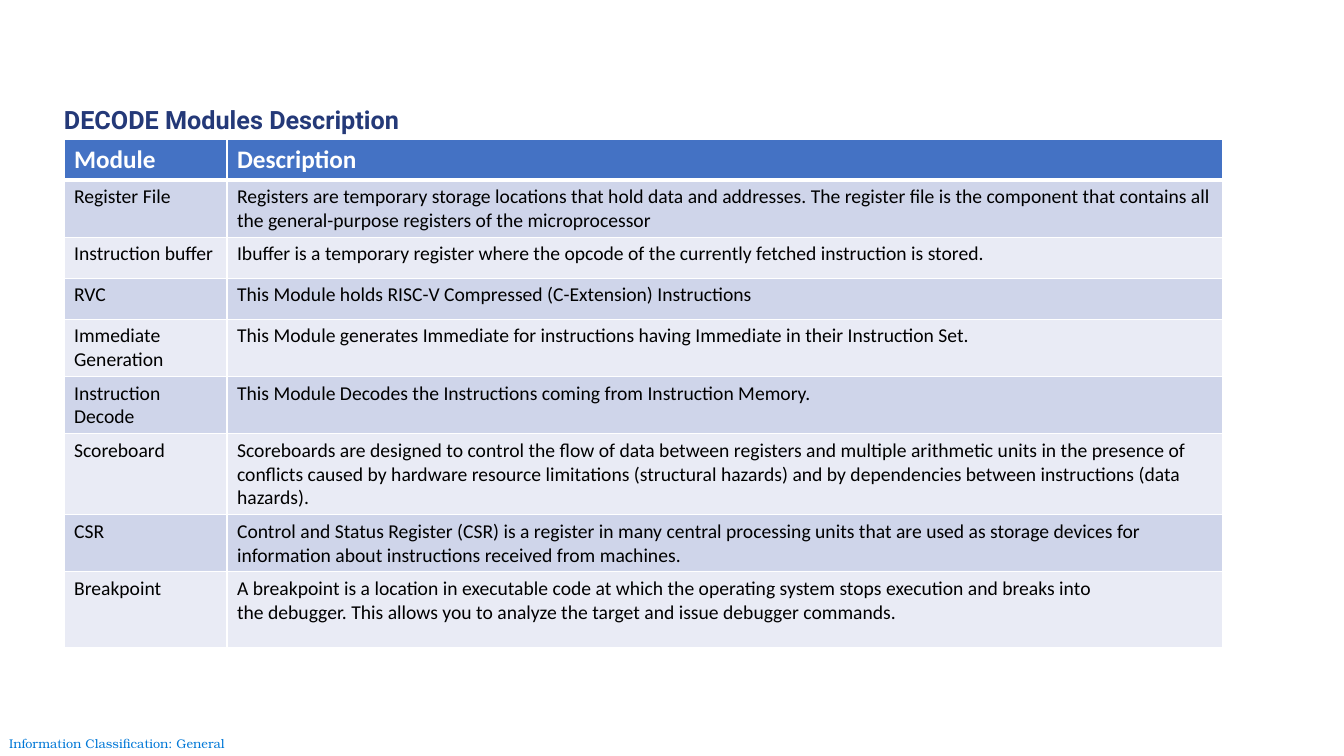
from lxml import etree
from pptx import Presentation
from pptx import util as u
from pptx.dml.color import RGBColor
from pptx.enum import text
from pptx.oxml import ns

WHITE = RGBColor(0xFF, 0xFF, 0xFF)
BLACK = RGBColor(0, 0, 0)
NAVY = RGBColor(0x24, 0x39, 0x78)
LINK_BLUE = RGBColor(0x00, 0x78, 0xD7)
HEADER_BLUE = RGBColor(0x44, 0x72, 0xC4)
BANDS = RGBColor(0xCF, 0xD5, 0xEA), RGBColor(0xE9, 0xEB, 0xF5)

TITLE = dict(name="Roboto", size=u.Pt(18), bold=True, color=NAVY)
FOOTER = dict(name="TeX Gyre Bonum", size=u.Pt(9), bold=False, color=LINK_BLUE)
HEADING = dict(name="Calibri", size=u.Pt(18), bold=True, color=WHITE)
BODY = dict(name="Calibri", size=u.Pt(14), bold=False, color=BLACK)

COLUMN_WIDTHS = 163, 996
HEADERS = "Module", "Description"
HEADER_HEIGHT = 41
MODULES = [
    ("Register File", "Registers are temporary storage locations that hold data and addresses. "
     "The register file is the component that contains all the general-purpose registers "
     "of the microprocessor", 57),
    ("Instruction buffer", "Ibuffer is a temporary register where the opcode of the currently "
     "fetched instruction is stored.", 41),
    ("RVC", "This Module holds RISC-V Compressed (C-Extension) Instructions", 41),
    ("Immediate Generation", "This Module generates Immediate for instructions having Immediate "
     "in their Instruction Set.", 57),
    ("Instruction Decode", "This Module Decodes the Instructions coming from "
     "Instruction Memory.", 57),
    ("Scoreboard", "Scoreboards are designed to control the flow of data between registers and "
     "multiple arithmetic units in the presence of conflicts caused by hardware resource "
     "limitations (structural hazards) and by dependencies between instructions "
     "(data hazards).", 81),
    ("CSR", "Control and Status Register (CSR) is a register in many central processing units "
     "that are used as storage devices for information about instructions received "
     "from machines.", 57),
    ("Breakpoint", "A breakpoint is a location in executable code at which the operating system "
     "stops execution and breaks into\nthe debugger. This allows you to analyze the target "
     "and issue debugger commands.", 76),
]


def px(length):
    """Turn pixels into EMU."""
    return u.Emu(round(length * 914400 / 100.8))


def write(frame, words, style):
    """Fill a text frame with one styled paragraph per line."""
    frame.text = words
    for para in frame.paragraphs:
        for span in para.runs:
            for key, value in style.items():
                if key == "color":
                    span.font.color.rgb = value
                else:
                    setattr(span.font, key, value)


def add_label(page, area, words, style, **layout):
    """Add a text box and return its frame."""
    frame = page.shapes.add_textbox(*map(px, area)).text_frame
    settings = dict(word_wrap=True, vertical_anchor=text.MSO_ANCHOR.MIDDLE) | layout
    for key, value in settings.items():
        setattr(frame, key, value)
    write(frame, words, style)
    return frame


def add_border(cell, side, points):
    """Draw one white edge of a cell."""
    line = etree.SubElement(cell._tc.get_or_add_tcPr(), ns.qn(f"a:ln{side}"),
                            w=str(u.Pt(points)))
    fill = etree.SubElement(line, ns.qn("a:solidFill"))
    etree.SubElement(fill, ns.qn("a:srgbClr"), val=str(WHITE))


def fill_row(table, index, words, height, color, style, bottom=1, top=1):
    """Write and format one table row."""
    table.rows[index].height = px(height)
    for cell, entry in zip(table.rows[index].cells, words):
        for side, points in zip("LRTB", (1, 1, top, bottom)):
            add_border(cell, side, points)
        cell.fill.solid()
        cell.fill.fore_color.rgb = color
        write(cell.text_frame, entry, style)


def add_module_table(page):
    """Add the banded table of modules."""
    height = HEADER_HEIGHT + sum(module[2] for module in MODULES)
    area = map(px, (64, 139, sum(COLUMN_WIDTHS), height))
    table = page.shapes.add_table(len(MODULES) + 1, len(HEADERS), *area).table
    for column, width in zip(table.columns, COLUMN_WIDTHS):
        column.width = px(width)
    fill_row(table, 0, HEADERS, HEADER_HEIGHT, HEADER_BLUE, HEADING, bottom=3)
    for index, (name, description, height) in enumerate(MODULES, 1):
        fill_row(table, index, (name, description), height, BANDS[(index - 1) % 2], BODY,
                 top=3 if index == 1 else 1)


def main():
    """Build the slide and save it."""
    deck = Presentation()
    deck.slide_width, deck.slide_height = px(1344), px(756)
    page = deck.slides.add_slide(deck.slide_layouts[6])
    add_label(page, (9, 730, 226, 26), "Information Classification: General", FOOTER,
              margin_left=0, margin_right=0, margin_top=0, margin_bottom=0)
    add_module_table(page)
    title = add_label(page, (54, 89, 1159, 64), "DECODE Modules Description", TITLE)
    title.paragraphs[0].line_spacing = 0.9
    deck.save("out.pptx")


if __name__ == "__main__":
    main()
